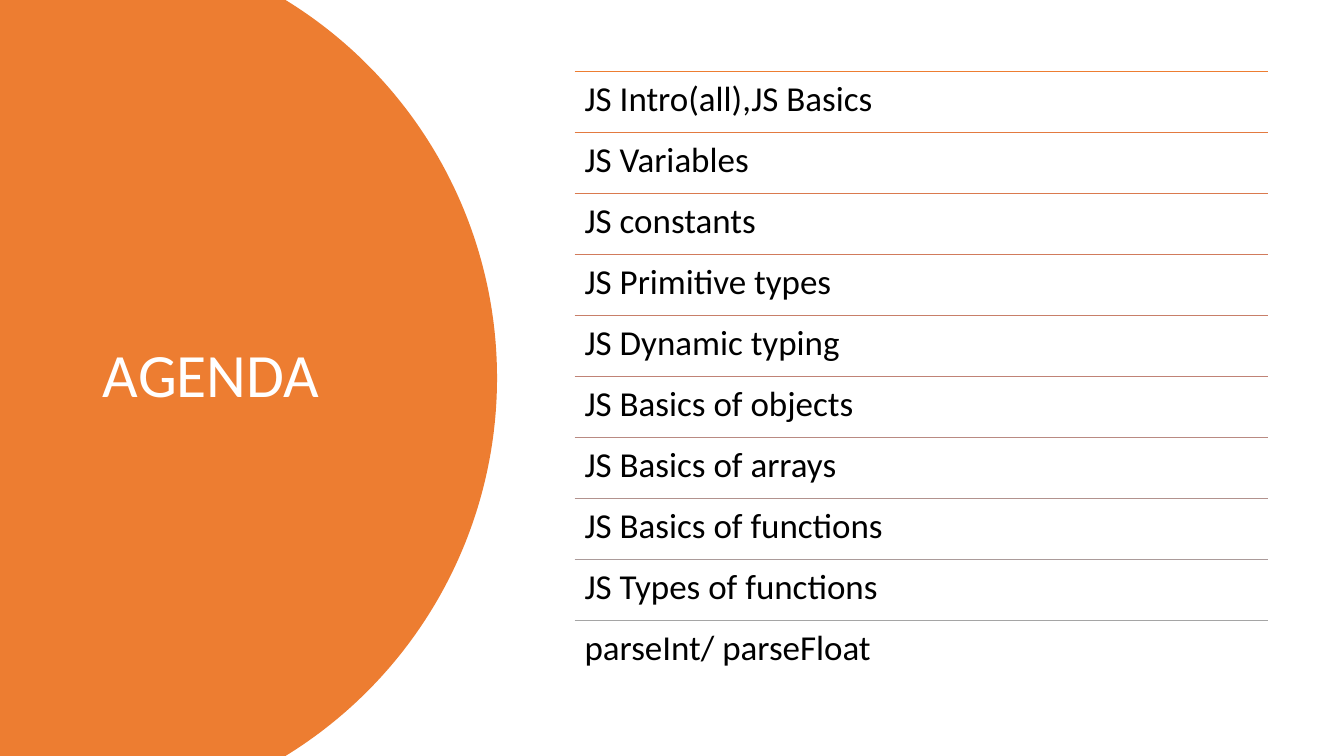
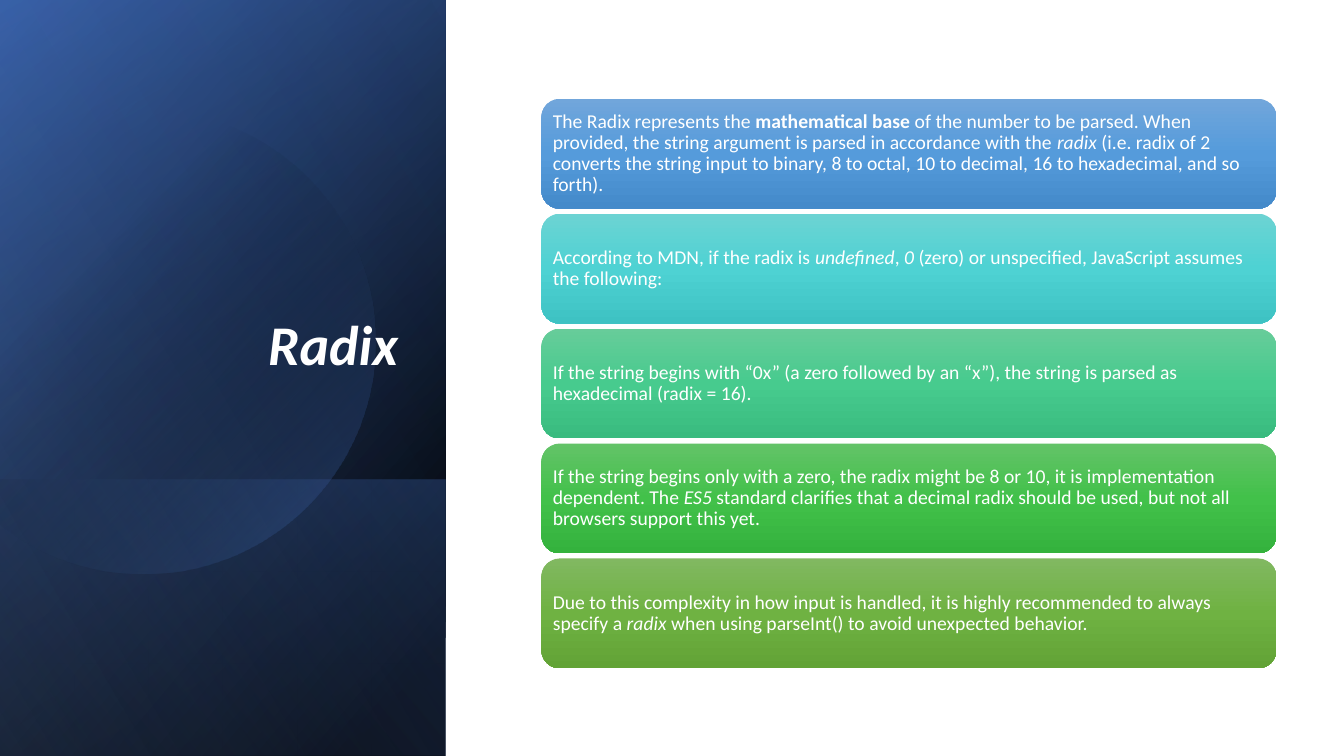
from itertools import pairwise
from math import cos, radians, sin, tan

from pptx import Presentation
from pptx.dml.color import RGBColor
from pptx.enum.shapes import MSO_CONNECTOR, MSO_SHAPE
from pptx.enum.text import MSO_ANCHOR, MSO_AUTO_SIZE, PP_ALIGN
from pptx.oxml import parse_xml
from pptx.oxml.ns import nsdecls, qn
from pptx.util import Inches, Pt

# Shared style
WIDTH, HEIGHT = 13.33, 7.5
FONT = "Calibri"
WHITE, BLACK, ORANGE = "FFFFFF", "000000", "ED7D31"
BLUE, DARK_BLUE, PALE_BLUE = "4472C4", "2F5597", "8FAADC"
TITLE_ONLY = 5

# Agenda: item and colour of the rule above it
AGENDA = [
    ("JS Intro(all),JS Basics", ORANGE),
    ("JS Variables", "E37A40"),
    ("JS constants", "DA7A4E"),
    ("JS Primitive types", "D17B5C"),
    ("JS Dynamic typing", "C87F69"),
    ("JS Basics of objects", "C08376"),
    ("JS Basics of arrays", "B98A82"),
    ("JS Basics of functions", "B2928E"),
    ("JS Types of functions", "AB9B9A"),
    ("parseInt/ parseFloat", "A5A5A5"),
]
AGENDA_LEFT, AGENDA_TOP, AGENDA_WIDTH, AGENDA_HEIGHT = 5.7, 0.71, 6.88, 6.05
AGENDA_ROW = AGENDA_HEIGHT / len(AGENDA)

# Radix cards: top, middle and bottom colour, then (text, style) runs
CARDS = [
    (("71A6DB", "559BDB", "448ACA"), [
        ("The Radix represents the ", ""),
        ("mathematical base", "bold"),
        (" of the number to be parsed. When provided, the string argument "
         "is parsed in accordance with the ", ""),
        ("radix", "italic"),
        (" (i.e. radix of 2 converts the string input to binary, 8 to octal, "
         "10 to decimal, 16 to hexadecimal, and so forth).", ""),
    ]),
    (("6CD3D3", "4ED2D3", "3EC2C3"), [
        ("According to MDN, if the radix is ", ""),
        ("undefined", "italic"),
        (", ", ""),
        ("0", "italic"),
        (" (zero) or unspecified, JavaScript assumes the following:", ""),
    ]),
    (("67CC9A", "47CB8E", "39BB7F"), [
        ("If the string begins with “0x” (a zero followed by an “x”), "
         "the string is parsed as hexadecimal (radix = 16).", ""),
    ]),
    (("63C368", "42C14A", "34B23D"), [
        ("If the string begins only with a zero, the radix might be 8 or 10, "
         "it is implementation dependent. The ", ""),
        ("ES5", "italic"),
        (" standard clarifies that a decimal radix should be used, "
         "but not all browsers support this yet.", ""),
    ]),
    (("81B861", "6FB242", "62A336"), [
        ("Due to this complexity in how input is handled, it is highly "
         "recommended to always specify a ", ""),
        ("radix", "italic"),
        (" when using parseInt() to avoid unexpected behavior.", ""),
    ]),
]
CARD_LEFT, CARD_TOP, CARD_WIDTH, CARD_HEIGHT = 5.37, 0.98, 7.29, 1.09
CARDS_BOTTOM = 6.63
CARD_STEP = (CARDS_BOTTOM - CARD_TOP - CARD_HEIGHT) / (len(CARDS) - 1)

# Side panel layers: top, angle, (position %, colour, opacity %) stops
PANEL_WIDTH = 4.42
PANEL_BASE = [
    (0, 220, [(8, BLACK, 100), (100, DARK_BLUE, 100)]),
    (0, 240, [(0, BLACK, 0), (99, BLUE, 46)]),
    (4.76, 140, [(2, BLUE, 29), (100, BLACK, 30)]),
]
PANEL_DISC = (45, [(29, BLACK, 0), (100, BLUE, 43)])
PANEL_GLAZE = (0, 150, [(0, BLACK, 0), (99, PALE_BLUE, 11)])


def color(value):
    return RGBColor.from_string(value)


def box(*lengths):
    return [Inches(length) for length in lengths]


def style(paragraph, size, value):
    paragraph.line_spacing = 0.9
    paragraph.font.name = FONT
    paragraph.font.size = Pt(size)
    paragraph.font.color.rgb = color(value)


def set_insets(frame, left, top):
    frame.margin_left = frame.margin_right = Inches(left)
    frame.margin_top = frame.margin_bottom = Inches(top)


def paint(shape, value):
    shape.shadow.inherit = False
    shape.line.fill.background()
    shape.fill.solid()
    shape.fill.fore_color.rgb = color(value)


def paint_gradient(shape, angle, stops):
    paint(shape, WHITE)
    stop_xml = "".join(
        f'<a:gs pos="{position * 1000}"><a:srgbClr val="{value}">'
        f'<a:alpha val="{opacity * 1000}"/></a:srgbClr></a:gs>'
        for position, value, opacity in stops)
    properties = shape.element.spPr
    properties.replace(properties.find(qn("a:solidFill")), parse_xml(
        f'<a:gradFill {nsdecls("a")} rotWithShape="1"><a:gsLst>{stop_xml}</a:gsLst>'
        f'<a:lin ang="{angle * 60000}" scaled="0"/></a:gradFill>'))


def add_disc(slide, center_x, center_y, radius, angles, corners=()):
    """Part of a circle, one curve between each two angles, then corners."""
    def point(angle, offset=0):
        x, y = cos(radians(angle)), sin(radians(angle))
        return box(center_x + radius * (x - offset * y),
                   center_y + radius * (y + offset * x))

    points = []
    for start, end in pairwise(angles):
        reach = 4 / 3 * tan(radians(end - start) / 4)
        points += [point(start, reach), point(end, -reach), point(end)]
    builder = slide.shapes.build_freeform(*point(angles[0]))
    builder.add_line_segments(points + [box(*corner) for corner in corners])
    shape = builder.convert_to_shape()

    # Turn each three line segments of the arc into one curve
    segments = list(shape.element.iter(qn("a:lnTo")))
    for first in range(0, len(points), 3):
        curve = parse_xml(f'<a:cubicBezTo {nsdecls("a")}/>')
        segments[first].addprevious(curve)
        for segment in segments[first:first + 3]:
            curve.append(segment[0])
            segment.getparent().remove(segment)
    return shape


def add_layer(slide, top, angle, stops):
    layer = slide.shapes.add_shape(
        MSO_SHAPE.RECTANGLE, *box(0, top, PANEL_WIDTH, HEIGHT - top))
    paint_gradient(layer, angle, stops)


def set_title(slide, text, place, size, anchor, align):
    title = slide.shapes.title
    title.left, title.top, title.width, title.height = box(*place)
    frame = title.text_frame
    frame.text = text
    frame.word_wrap = True
    frame.auto_size = MSO_AUTO_SIZE.NONE
    frame.vertical_anchor = anchor
    paragraph = frame.paragraphs[0]
    paragraph.alignment = align
    style(paragraph, size, WHITE)
    title.element.getparent().append(title.element)  # in front of the panel
    return paragraph


def add_rule(slide, top, value):
    rule = slide.shapes.add_connector(
        MSO_CONNECTOR.STRAIGHT,
        *box(AGENDA_LEFT, top, AGENDA_LEFT + AGENDA_WIDTH, top))
    rule.line.color.rgb = color(value)
    rule.line.width = Pt(1)
    rule.element.spPr.append(parse_xml(f'<a:effectLst {nsdecls("a")}/>'))


def build_agenda(slide):
    disc = add_disc(slide, 0.53, HEIGHT / 2, 4.4, (-58.46, 0, 58.46),
                    [(0, HEIGHT), (0, 0)])
    paint(disc, ORANGE)
    set_title(slide, "AGENDA", (0.92, 0.7, 3.23, 6.09), 44,
              MSO_ANCHOR.MIDDLE, PP_ALIGN.LEFT)
    for row, (item, value) in enumerate(AGENDA):
        top = AGENDA_TOP + row * AGENDA_ROW
        add_rule(slide, top, value)
        frame = slide.shapes.add_textbox(
            *box(AGENDA_LEFT, top, AGENDA_WIDTH, AGENDA_ROW)).text_frame
        frame.word_wrap = True
        set_insets(frame, 0.1, 0.1)
        frame.text = item
        style(frame.paragraphs[0], 25, BLACK)


def add_card(slide, top, colors, runs):
    card = slide.shapes.add_shape(
        MSO_SHAPE.ROUNDED_RECTANGLE,
        *box(CARD_LEFT, top, CARD_WIDTH, CARD_HEIGHT))
    paint_gradient(card, 90, [(50 * i, value, 100) for i, value in enumerate(colors)])
    frame = card.text_frame
    frame.word_wrap = True
    frame.vertical_anchor = MSO_ANCHOR.MIDDLE
    set_insets(frame, 0.06, 0.06)
    paragraph = frame.paragraphs[0]
    paragraph.alignment = PP_ALIGN.LEFT
    style(paragraph, 14, WHITE)
    for text, emphasis in runs:
        run = paragraph.add_run()
        run.text = text
        if emphasis:
            setattr(run.font, emphasis, True)


def build_radix(slide):
    for layer in PANEL_BASE:
        add_layer(slide, *layer)
    disc = add_disc(slide, 1.42, 3.39, 2.3, (-128.13, -90, 0, 90, 128.13))
    paint_gradient(disc, *PANEL_DISC)
    add_layer(slide, *PANEL_GLAZE)
    title = set_title(slide, "Radix", (0.64, 1.84, 3.41, 1.96), 40,
                      MSO_ANCHOR.BOTTOM, PP_ALIGN.RIGHT)
    title.font.bold = title.font.italic = True
    for row, (colors, runs) in enumerate(CARDS):
        add_card(slide, CARD_TOP + row * CARD_STEP, colors, runs)


def main():
    presentation = Presentation()
    presentation.slide_width, presentation.slide_height = box(WIDTH, HEIGHT)
    for build in (build_agenda, build_radix):
        build(presentation.slides.add_slide(presentation.slide_layouts[TITLE_ONLY]))
    presentation.save("out.pptx")


if __name__ == "__main__":
    main()
